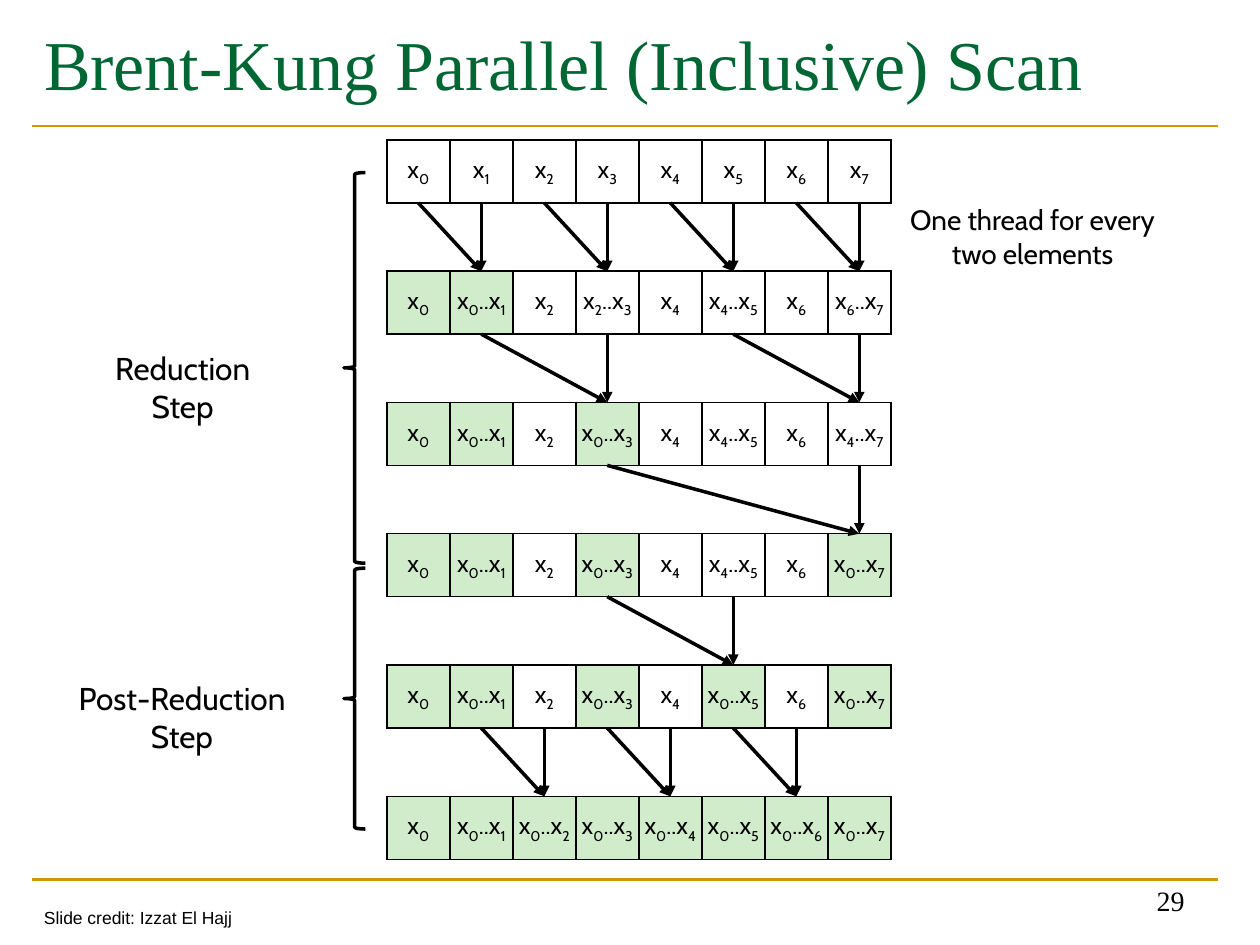
"""Build the Brent-Kung parallel inclusive scan slide."""
from dataclasses import dataclass

from lxml import etree
from pptx import Presentation
from pptx import util as u
from pptx.dml import color
from pptx.enum import shapes, text
from pptx.oxml import ns


@dataclass(frozen=True)
class Theme:
    title: color.RGBColor = color.RGBColor.from_string("006633")
    rule: color.RGBColor = color.RGBColor.from_string("CC9900")
    ink: color.RGBColor = color.RGBColor.from_string("000000")
    done: color.RGBColor = color.RGBColor.from_string("D0ECCB")
    serif: str = "Times New Roman"
    sans: str = "Cabin"
    credit: str = "Arial"
    title_size: u.Pt = u.Pt(40)
    step_size: u.Pt = u.Pt(18)
    note_size: u.Pt = u.Pt(16)
    cell_size: u.Pt = u.Pt(14)
    credit_size: u.Pt = u.Pt(10)


theme = Theme()
Align = text.PP_ALIGN
Anchor = text.MSO_ANCHOR


def add_run(paragraph, words, font, size, ink=theme.ink):
    run = paragraph.add_run()
    run.text = words
    run.font.name = font
    run.font.size = size
    run.font.color.rgb = ink
    return run


def add_line(start, end, ink, width, arrow=False):
    line = slide.shapes.add_connector(
        shapes.MSO_CONNECTOR.STRAIGHT, *[u.Inches(v) for v in (*start, *end)])
    line.line.color.rgb = ink
    line.line.width = u.Pt(width)
    if arrow:
        etree.SubElement(line.line._get_or_add_ln(), ns.qn("a:tailEnd"), type="triangle")
    etree.SubElement(line._element.spPr, ns.qn("a:effectLst"))


prs = Presentation()
prs.slide_width, prs.slide_height = u.Inches(10), u.Inches(7.5)
slide = prs.slides.add_slide(prs.slide_layouts[5])

for rule_y in (6.98, 1):
    add_line((0.25, rule_y), (9.67, rule_y), theme.rule, 1.5)

title = slide.shapes.title
title.left, title.top = u.Inches(0.25), u.Inches(0)
title.width, title.height = u.Inches(9.42), u.Inches(0.99)
title.text_frame.vertical_anchor = Anchor.MIDDLE
heading = title.text_frame.paragraphs[0]
heading.alignment = Align.LEFT
add_run(heading, "Brent-Kung Parallel (Inclusive) Scan", theme.serif, theme.title_size, theme.title)

# Each digit is the first element summed into that column.
stages = ["01234567", "00224466", "00204464", "00204460", "00204060", "00000000"]
cell, grid_left, grid_top = 0.5, 3.07, 1.11
pitch = (6.32 - grid_top) / (len(stages) - 1)

for row, starts in enumerate(stages):
    top = grid_top + row * pitch
    frame = slide.shapes.add_table(
        1, len(starts), u.Inches(grid_left), u.Inches(top),
        u.Inches(cell * len(starts)), u.Inches(cell))
    stage = frame.table
    stage.first_row = stage.horz_banding = False
    for column, start in enumerate(starts):
        element = stage.cell(0, column)
        element.margin_left = element.margin_right = 0
        element.margin_top = element.margin_bottom = 0
        element.vertical_anchor = Anchor.MIDDLE
        label = element.text_frame.paragraphs[0]
        label.alignment = Align.CENTER
        parts = ["x", start]
        if int(start) != column:
            parts += ["..x", str(column)]
        for part in parts:
            run = add_run(label, part, theme.sans, theme.cell_size)
            if part.isdigit():
                run.font._element.set("baseline", "-25000")
        properties = element._tc.get_or_add_tcPr()
        for side in ("a:lnL", "a:lnR", "a:lnT", "a:lnB"):
            border = etree.SubElement(properties, ns.qn(side), w=str(u.Pt(1)))
            paint = etree.SubElement(border, ns.qn("a:solidFill"))
            etree.SubElement(paint, ns.qn("a:srgbClr"), val=str(theme.ink))
        if row > 0 and start == "0":
            element.fill.solid()
            element.fill.fore_color.rgb = theme.done
        else:
            element.fill.background()

centers = [grid_left + cell * (column + 0.5) for column in range(len(stages[0]))]
for row, (before, after) in enumerate(zip(stages, stages[1:])):
    bottom = grid_top + row * pitch + cell
    next_top = grid_top + (row + 1) * pitch
    for target, (old, new) in enumerate(zip(before, after)):
        if old != new:
            for source in (target, int(old) - 1):
                add_line((centers[source], bottom), (centers[target], next_top),
                         theme.ink, 2, arrow=True)

captions = [
    (7.07, 1.56, 2.25, 0.64, ["One thread for every two elements"],
     theme.sans, theme.note_size, Align.CENTER, Anchor.TOP, True),
    (0.57, 2.72, 1.76, 0.4, ["Reduction", "Step"],
     theme.sans, theme.step_size, Align.CENTER, Anchor.TOP, False),
    (0.31, 5.34, 2.27, 0.4, ["Post-Reduction", "Step"],
     theme.sans, theme.step_size, Align.CENTER, Anchor.TOP, False),
    (7.17, 6.83, 2.33, 0.5, ["29"],
     theme.serif, theme.note_size, Align.RIGHT, Anchor.BOTTOM, True),
    (0.25, 7.15, 1.71, 0.27, ["Slide credit: Izzat El Hajj"],
     theme.credit, theme.credit_size, Align.LEFT, Anchor.TOP, False),
]
for left, top, width, height, lines, font, size, align, anchor, wrap in captions:
    caption = slide.shapes.add_textbox(*[u.Inches(v) for v in (left, top, width, height)])
    caption.text_frame.word_wrap = wrap
    caption.text_frame.vertical_anchor = anchor
    paragraph = caption.text_frame.paragraphs[0]
    paragraph.alignment = align
    for index, words in enumerate(lines):
        if index:
            paragraph.add_line_break()
        add_run(paragraph, words, font, size)

for top, height in ((1.37, 3.1), (4.51, 2.07)):
    brace = slide.shapes.add_shape(
        shapes.MSO_SHAPE.LEFT_BRACE, *[u.Inches(v) for v in (2.73, top, 0.17, height)])
    brace.shadow.inherit = False
    brace.fill.background()
    brace.line.color.rgb = theme.ink
    brace.line.width = u.Pt(2)

prs.save("out.pptx")
